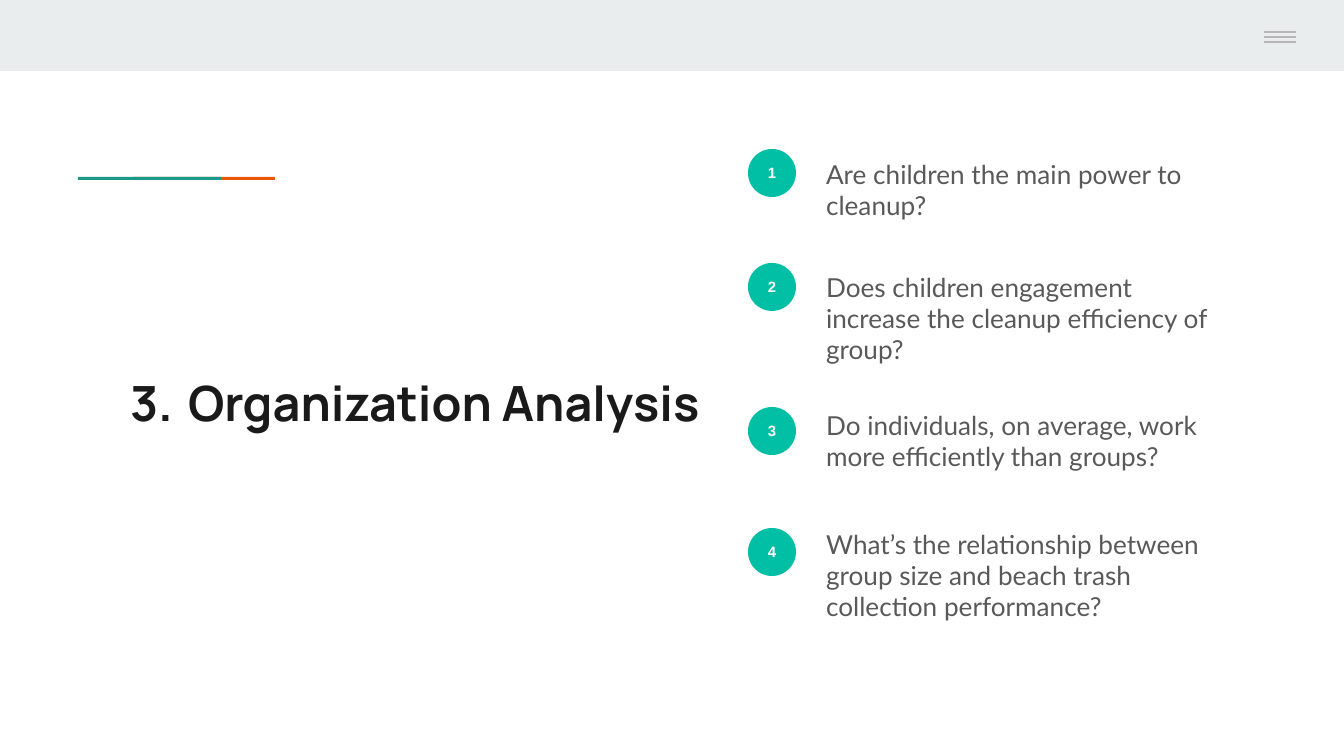
"""Build the Organization Analysis section slide with four numbered questions."""
import pptx
import pptx.util
import pptx.dml.color
import pptx.enum.shapes
import pptx.enum.text
import pptx.oxml.ns
from lxml import etree

TITLE = "Organization Analysis"
TITLE_NUMBER = 3
QUESTIONS = [
    {"text": "Are children the main power to cleanup?", "circle": 149, "top": 145, "height": 86},
    {"text": "Does children engagement increase the cleanup efficiency of group?",
     "circle": 263, "top": 258, "height": 113},
    {"text": "Do individuals, on average, work more efficiently than groups?",
     "circle": 407, "top": 396, "height": 86},
    {"text": "What’s the relationship between group size and beach trash collection performance?",
     "circle": 528, "top": 515, "height": 126},
]
THEME = {
    "band": "E9EDEE", "orange": "EB5600", "green": "1A9988", "menu": "B7B7B7",
    "title": "1A1A1A", "circle": "00BFA5", "number": "FFFFFF", "body": "595959",
    "title_size": 26, "number_size": 8, "body_size": 14,
    "title_font": "Manrope", "number_font": "Arial", "body_font": "Lato",
}
BANDS = [
    ("band", 0, 0, 1344, 71),
    ("orange", 133, 177, 142, 3),
    ("green", 78, 177, 143, 3),
]
MENU_LEFT, MENU_RIGHT, MENU_TOP, MENU_STEP = 1264, 1296, 32, 5
CIRCLE_LEFT, CIRCLE_SIZE = 748, 48
TEXT_LEFT, TEXT_WIDTH = 813, 417
INSET = 13
SHAPES = pptx.enum.shapes.MSO_SHAPE
ANCHORS = pptx.enum.text.MSO_ANCHOR
ALIGN = pptx.enum.text.PP_ALIGN


def px(value):
    return pptx.util.Emu(round(value * 914400 / 134.4))


def color(name):
    return pptx.dml.color.RGBColor.from_string(THEME[name])


def add_filled(page, kind, fill, *bounds):
    shape = page.shapes.add_shape(kind, *map(px, bounds))
    shape.shadow.inherit = False
    shape.fill.solid()
    shape.fill.fore_color.rgb = color(fill)
    shape.line.fill.background()
    return shape


def write(shape, text, role, anchor, align, bold):
    frame = shape.text_frame
    frame.text = text
    frame.word_wrap = True
    frame.auto_size = pptx.enum.text.MSO_AUTO_SIZE.NONE
    frame.vertical_anchor = anchor
    frame.margin_left = frame.margin_right = px(INSET)
    frame.margin_top = frame.margin_bottom = px(INSET)
    para = frame.paragraphs[0]
    para.alignment = align
    font = para.runs[0].font
    font.name = THEME[role + "_font"]
    font.size = pptx.util.Pt(THEME[role + "_size"])
    font.bold = bold
    font.color.rgb = color(role)
    return para


def number_title(para):
    qn = pptx.oxml.ns.qn
    properties = para._p.get_or_add_pPr()
    properties.set("marL", str(px(67)))
    properties.set("indent", str(-px(58)))
    bullet_color = etree.SubElement(properties, qn("a:buClr"))
    etree.SubElement(bullet_color, qn("a:srgbClr"), val=THEME["title"])
    etree.SubElement(properties, qn("a:buFont"), typeface=THEME["title_font"])
    etree.SubElement(properties, qn("a:buAutoNum"), type="arabicPeriod", startAt=str(TITLE_NUMBER))


def add_menu_line(page, y):
    line = page.shapes.add_connector(
        pptx.enum.shapes.MSO_CONNECTOR.STRAIGHT, px(MENU_LEFT), px(y), px(MENU_RIGHT), px(y))
    line.line.color.rgb = color("menu")
    line.line.width = pptx.util.Pt(0.75)
    etree.SubElement(line._element.spPr, pptx.oxml.ns.qn("a:effectLst"))


def add_question(page, number, question):
    circle = add_filled(page, SHAPES.OVAL, "circle",
                        CIRCLE_LEFT, question["circle"], CIRCLE_SIZE, CIRCLE_SIZE)
    write(circle, str(number), "number", ANCHORS.MIDDLE, ALIGN.CENTER, True)
    box = page.shapes.add_textbox(
        px(TEXT_LEFT), px(question["top"]), px(TEXT_WIDTH), px(question["height"]))
    write(box, question["text"], "body", ANCHORS.TOP, ALIGN.LEFT, False)


def main():
    deck = pptx.Presentation()
    deck.slide_width, deck.slide_height = px(1344), px(756)
    page = deck.slides.add_slide(deck.slide_layouts[5])
    for fill, *bounds in BANDS:
        add_filled(page, SHAPES.RECTANGLE, fill, *bounds)
    for index in range(3):
        add_menu_line(page, MENU_TOP + index * MENU_STEP)
    title = page.shapes.title
    title.left, title.top, title.width, title.height = map(px, (108, 360, 620, 77))
    number_title(write(title, TITLE, "title", ANCHORS.TOP, ALIGN.LEFT, True))
    for number, question in enumerate(QUESTIONS, 1):
        add_question(page, number, question)
    deck.save("out.pptx")


if __name__ == "__main__":
    main()
